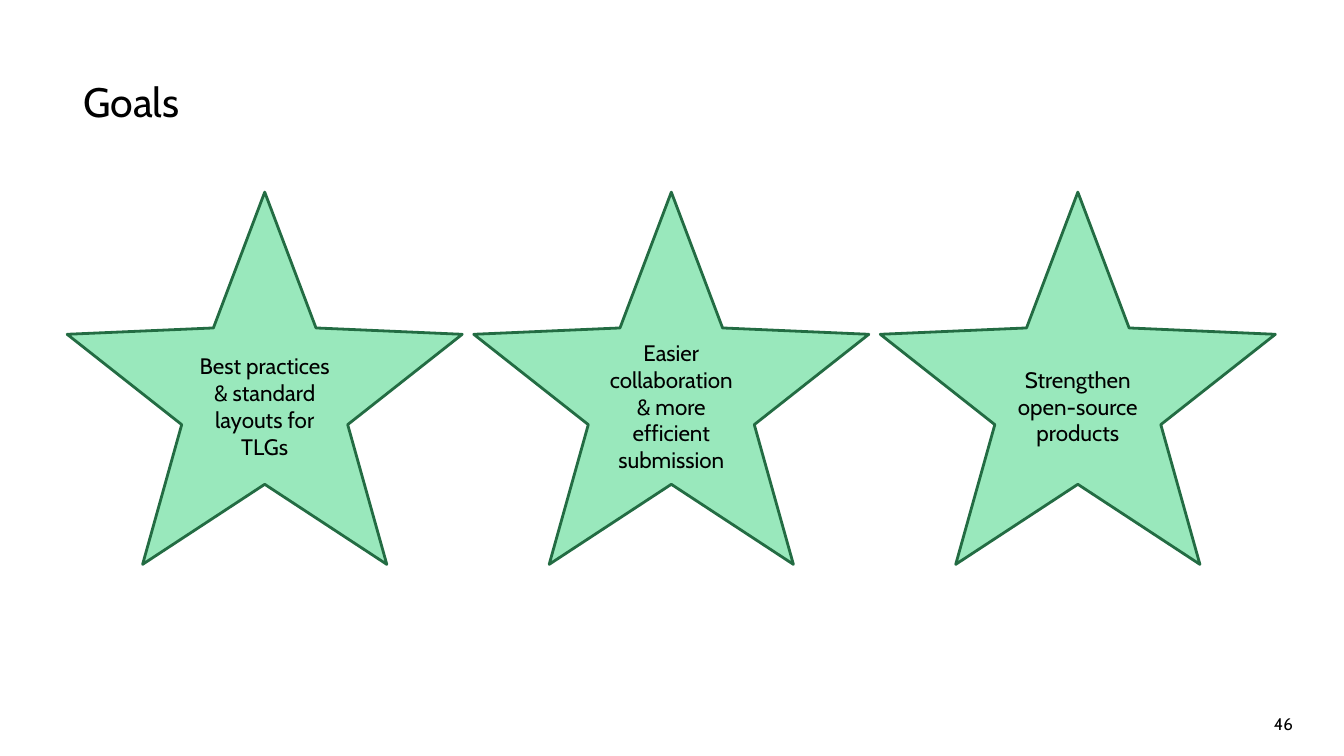
from pptx import Presentation
from pptx.dml.color import RGBColor
from pptx.enum.shapes import MSO_SHAPE
from pptx.enum.text import MSO_ANCHOR, MSO_AUTO_SIZE, PP_ALIGN
from pptx.util import Inches, Pt

# Content
TITLE = "Goals"
GOALS = [
    "Best practices & standard layouts for TLGs",
    "Easier collaboration & more efficient submission",
    "Strengthen open-source products",
]
PAGE_NUMBER = "46"

# Style and grid
FONT = "Cabin"
COLORS = {"text": "000000", "star": "99E8BC", "outline": "236C43"}
FIRST_LEFT, LAST_LEFT, STAR_TOP = 0.5, 6.55, 1.43
STAR_WIDTH, STAR_HEIGHT = 2.94, 2.77
STAR_PITCH = (LAST_LEFT - FIRST_LEFT) / (len(GOALS) - 1)


def color(name):
    return RGBColor.from_string(COLORS[name])


def write(shape, text, size, align, anchor, left=0.1, right=0.1):
    frame = shape.text_frame
    frame.text = text
    frame.word_wrap = True
    frame.auto_size = MSO_AUTO_SIZE.NONE
    frame.vertical_anchor = anchor
    frame.margin_left, frame.margin_right = Inches(left), Inches(right)
    frame.margin_top = frame.margin_bottom = Inches(0.1)
    paragraph = frame.paragraphs[0]
    paragraph.alignment = align
    paragraph.font.name = FONT
    paragraph.font.size = Pt(size)
    paragraph.font.color.rgb = color("text")
    return paragraph


# A 16:9 page
deck = Presentation()
deck.slide_width = Inches(10)
deck.slide_height = Inches(10 * 9 / 16)
page = deck.slides.add_slide(deck.slide_layouts[5])

# Title
title = page.shapes.title
title.left, title.top = Inches(0.62), Inches(0.47)
title.width, title.height = Inches(8.13), Inches(0.42)
write(title, TITLE, 22, PP_ALIGN.LEFT, MSO_ANCHOR.TOP, left=0)

# One star per goal
for index, goal in enumerate(GOALS):
    star = page.shapes.add_shape(
        MSO_SHAPE.STAR_5_POINT,
        Inches(FIRST_LEFT + index * STAR_PITCH), Inches(STAR_TOP),
        Inches(STAR_WIDTH), Inches(STAR_HEIGHT))
    star.adjustments[0] = 0.21
    star.shadow.inherit = False
    star.fill.solid()
    star.fill.fore_color.rgb = color("star")
    star.line.color.rgb = color("outline")
    star.line.width = Pt(1.5)
    paragraph = write(star, goal, 12, PP_ALIGN.CENTER, MSO_ANCHOR.MIDDLE)
    paragraph.space_after = Pt(10)

# Page number
number = page.shapes.add_textbox(Inches(9.02), Inches(5.21), Inches(0.6), Inches(0.28))
write(number, PAGE_NUMBER, 9, PP_ALIGN.RIGHT, MSO_ANCHOR.TOP, right=0)

deck.save("out.pptx")
